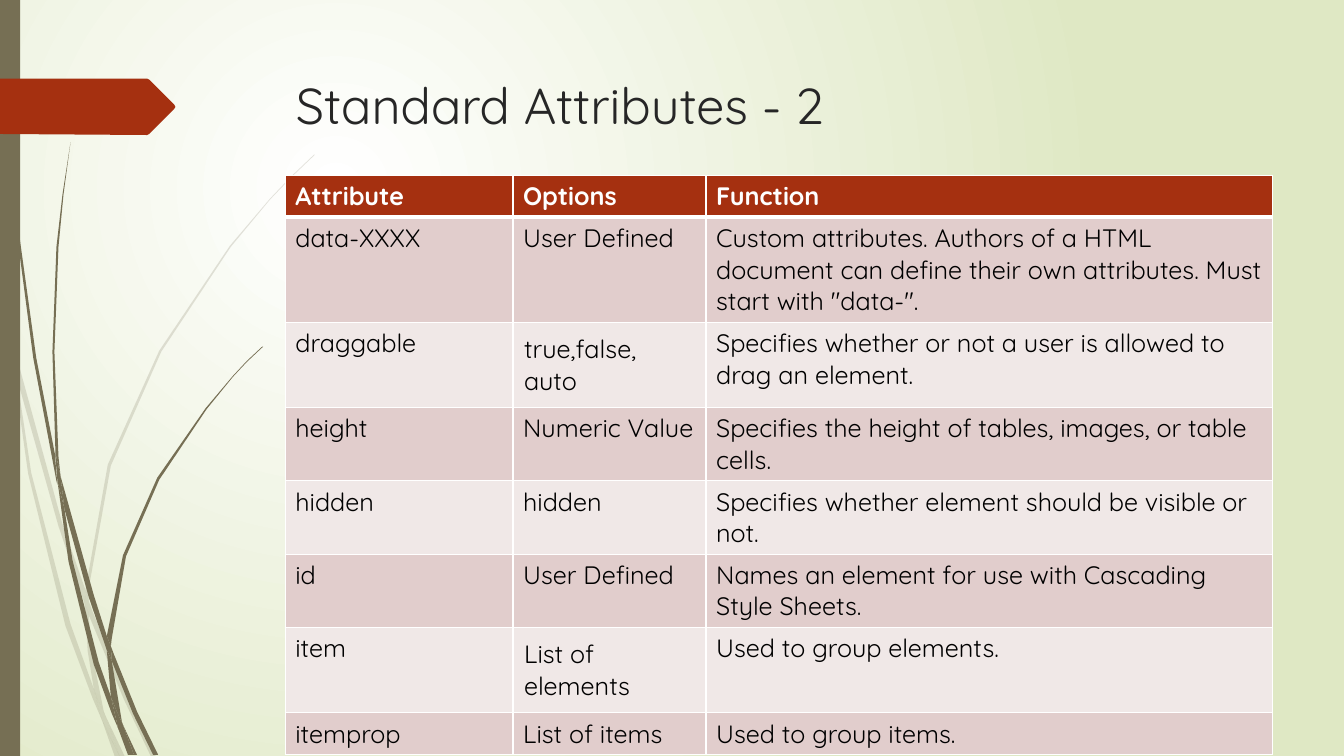
import pptx
import pptx.dml.color
import pptx.enum.shapes
import pptx.enum.text
import pptx.oxml
import pptx.oxml.ns
import pptx.util
from lxml import etree

COLORS = {"rust": "A53010", "olive": "766F54", "white": "FFFFFF", "leaf": "DFE8C4",
          "title": "262626", "body": "000000", "odd": "E1CDCC", "even": "F0E8E7"}
FONT = "Quicksand"
COLUMNS, ROWS = 133.33, 75  # grid of square cells, a tenth of an inch each

# Outlines of the blades of grass: (column, row) of each corner
PALE_GRASS = [
    [(1.1, 35), (.9, 32.2), (0, 28.2), (0, 29.9), (1, 34.4)],
    [(5.8, 52.2), (8.4, 59.9), (8.5, 58.6), (6.2, 52), (1.4, 34.5), (1.7, 37.6)],
    [(9.2, 60.7), (8.8, 59.6), (8.8, 61), (12.3, 69.4), (15, 75.1), (15.5, 75.1),
     (12.7, 69.2)],
    [(11.9, 75.1), (12.4, 75.1), (10.5, 71.1)],
    [(9.3, 68.3), (7, 61.9), (3.1, 46.9), (1.7, 37.6), (1.1, 35), (2.8, 47), (6.5, 62.1),
     (9.2, 69.3), (10.1, 71.4), (9.9, 70.7)],
    [(8.4, 59.9), (8.7, 64.6), (9.3, 68.3), (9.6, 69.2), (10.5, 71.1), (10.3, 70.6),
     (9.1, 64.6), (8.8, 61), (8.8, 60.8)],
    [(8.8, 58.4), (11, 46.2), (16, 34.9), (22.9, 24.5), (26.8, 19.8), (29, 17.5),
     (31.2, 15.4), (31.2, 15.3), (28.9, 17.5), (26.8, 19.7), (22.8, 24.4), (15.8, 34.8),
     (10.7, 46.1), (8.5, 58.4), (8.5, 58.6), (8.8, 59.6)],
    [(10.1, 71.4), (11.4, 75.1), (11.9, 75.1)],
    [(8.8, 60.8), (8.8, 61), (8.8, 59.6), (8.5, 58.6), (8.4, 59.9)],
    [(9.6, 69.2), (9.3, 68.3), (9.9, 70.7), (10.1, 71.4), (11.9, 75.1), (10.5, 71.1)]]
DARK_GRASS = [
    [(.7, 11), (1.7, 23.3), (3.3, 35.5), (5.6, 47.7), (5.7, 48.1), (5.5, 45.7), (5.5, 45.3),
     (3.6, 35.5), (1.9, 23.2), (.8, 10.9), (.5, 4.8), (.4, 0), (.3, 0), (.4, 4.8)],
    [(8.8, 59.2), (10.6, 64.5), (10.6, 63.1), (9.3, 59), (6, 47.2), (6.4, 50.5)],
    [(11.3, 64.9), (11, 64.1), (11.1, 65.6), (13.2, 70.8), (15.2, 74.9), (15.7, 74.9),
     (13.6, 70.6)],
    [(11, 69.1), (9.8, 65.7), (7.2, 55.6), (6.4, 50.5), (5.7, 47.7), (6.8, 55.7),
     (9.3, 65.9), (11.1, 70.8), (11.7, 72.2), (11.6, 71.7)],
    [(6, 47.2), (5.8, 45.3), (5.4, 34.9), (5.8, 24.5), (6.3, 19.3), (7, 14.1), (6.2, 19.3),
     (5.6, 24.5), (5.2, 34.9), (5.5, 44.9)],
    [(13.3, 74.9), (13.6, 74.9), (12.2, 71.9)],
    [(5.7, 47.7), (6.4, 50.5), (6, 47.2), (5.5, 44.9), (5.5, 45.3)],
    [(11.1, 63.3), (12.5, 55.2), (15.8, 47.6), (20.5, 40.6), (23.1, 37.4), (24.5, 35.9),
     (26.1, 34.4), (26, 34.4), (24.5, 35.8), (23.1, 37.3), (20.4, 40.5), (15.6, 47.4),
     (12.2, 55.1), (10.6, 63.1), (11, 64.1)],
    [(11.7, 72.2), (12.7, 74.9), (13.1, 74.9)],
    [(10.6, 64.5), (11, 69.1), (11.6, 70.6), (12.2, 71.9), (12.1, 71.6), (11.1, 65.6),
     (10.9, 65.1)],
    [(10.6, 64.5), (10.9, 65.1), (11.1, 65.6), (11, 64.1), (10.6, 63.1)],
    [(11.6, 70.6), (11, 69.1), (11.6, 71.7), (11.7, 72.2), (13, 74.9), (13.3, 74.9),
     (12.2, 71.9)]]
MARKER = [(17.3, 10.8), (14.8, 13.3), (14.6, 13.4), (0, 13.3), (0, 7.8), (14.6, 7.8),
          (14.8, 7.9), (17.3, 10.4), (17.4, 10.6)]

HEADER = ("Attribute", "Options", "Function")
ATTRIBUTES = [
    ("data-XXXX", "User Defined", "Custom attributes. Authors of a HTML document can "
     "define their own attributes. Must start with \"data-\"."),
    ("draggable", "true,false, auto",
     "Specifies whether or not a user is allowed to drag an element."),
    ("height", "Numeric Value", "Specifies the height of tables, images, or table cells."),
    ("hidden", "hidden", "Specifies whether element should be visible or not."),
    ("id", "User Defined", "Names an element for use with Cascading Style Sheets."),
    ("item", "List of elements", "Used to group elements."),
    ("itemprop", "List of items", "Used to group items.")]
ROOMY_OPTIONS = ("true,false, auto", "List of elements")


def cells(count):
    return pptx.util.Inches(count / 10)


def color(name):
    return pptx.dml.color.RGBColor.from_string(COLORS[name])


def paint(shape, name):
    shape.shadow.inherit = False
    shape.fill.solid()
    shape.fill.fore_color.rgb = color(name)
    shape.line.fill.background()


def style_text(frame, size, name, bold=False):
    for para in frame.paragraphs:
        para.alignment = pptx.enum.text.PP_ALIGN.LEFT
        for span in para.runs:
            span.font.name = FONT
            span.font.size = pptx.util.Pt(size)
            span.font.bold = bold
            span.font.color.rgb = color(name)


def add_background(page):
    # A circular gradient needs its own XML
    page.background.fill.solid()
    properties = page.background._cSld.bg.bgPr
    gradient = pptx.oxml.parse_xml(
        f'<a:gradFill {pptx.oxml.ns.nsdecls("a")} rotWithShape="1"><a:gsLst>'
        f'<a:gs pos="0"><a:srgbClr val="{COLORS["white"]}"/></a:gs>'
        f'<a:gs pos="100000"><a:srgbClr val="{COLORS["leaf"]}"/></a:gs></a:gsLst>'
        '<a:path path="circle"><a:fillToRect l="50000" t="50000" r="100000" b="100000"/>'
        '</a:path></a:gradFill>')
    properties.replace(properties[0], gradient)


def add_outline(shapes, box, corners, name, alpha=100):
    left, top = box[:2]
    points = [(cells(left + x), cells(top + y)) for x, y in corners]
    builder = shapes.build_freeform(*points[0])
    builder.add_line_segments(points[1:], close=True)
    outline = builder.convert_to_shape()
    paint(outline, name)
    if alpha < 100:
        tint = outline.fill._xPr.find(".//" + pptx.oxml.ns.qn("a:srgbClr"))
        etree.SubElement(tint, pptx.oxml.ns.qn("a:alpha"), val=str(alpha * 1000))


def add_side_decoration(page, box):
    left, top, width, height = box
    for grass, alpha in ((PALE_GRASS, 20), (DARK_GRASS, 100)):
        group = page.shapes.add_group_shape()
        for corners in grass:
            add_outline(group.shapes, box, corners, "olive", alpha)
    # Edge bar and page marker
    bar = page.shapes.add_shape(pptx.enum.shapes.MSO_SHAPE.RECTANGLE, cells(left),
                                cells(top), cells(width), cells(height))
    paint(bar, "olive")
    add_outline(page.shapes, box, MARKER, "rust")


def add_title(page, box, text):
    title = page.shapes.title
    title.left, title.top, title.width, title.height = map(cells, box)
    frame = title.text_frame
    frame.text = text
    frame.word_wrap = True
    frame.vertical_anchor = pptx.enum.text.MSO_ANCHOR.TOP
    style_text(frame, 36, "title")


def set_borders(cell, bottom, top):
    properties = cell._tc.get_or_add_tcPr()
    for place, (side, points) in enumerate((("L", 1), ("R", 1), ("T", top), ("B", bottom))):
        properties.insert(place, pptx.oxml.parse_xml(
            f'<a:ln{side} {pptx.oxml.ns.nsdecls("a")} w="{pptx.util.Pt(points)}">'
            f'<a:solidFill><a:srgbClr val="{COLORS["white"]}"/></a:solidFill></a:ln{side}>'))


def add_attribute_table(page, box, shares):
    left, top, width, row_height = box
    rows = [HEADER, *ATTRIBUTES]
    table = page.shapes.add_table(len(rows), len(HEADER), cells(left), cells(top),
                                  cells(width), cells(row_height * len(rows))).table
    for column, share in zip(table.columns, shares):
        column.width = cells(width * share / sum(shares))
    for index, texts in enumerate(rows):
        table.rows[index].height = cells(row_height)
        fill = "rust" if index == 0 else "odd" if index % 2 else "even"
        for place, text in enumerate(texts):
            cell = table.cell(index, place)
            cell.text_frame.text = text
            style_text(cell.text_frame, 18, "body" if index else "white", index == 0)
            cell.fill.solid()
            cell.fill.fore_color.rgb = color(fill)
            set_borders(cell, 1 if index else 3, 3 if index == 1 else 1)
            if text in ROOMY_OPTIONS:
                cell.margin_left = cell.margin_right = cells(1.1)
                cell.margin_top = cell.margin_bottom = cells(1.1)


def main():
    deck = pptx.Presentation()
    deck.slide_width, deck.slide_height = cells(COLUMNS), cells(ROWS)
    page = deck.slides.add_slide(deck.slide_layouts[5])
    add_background(page)
    add_side_decoration(page, (0, 0, 2, ROWS))
    add_title(page, (28.35, 6.85, 97.5, 14), "Standard Attributes - 2")
    add_attribute_table(page, (28.3, 17.42, 97.95, 4.1), (22.6, 19.15, 56.2))
    deck.save("out.pptx")


if __name__ == "__main__":
    main()
